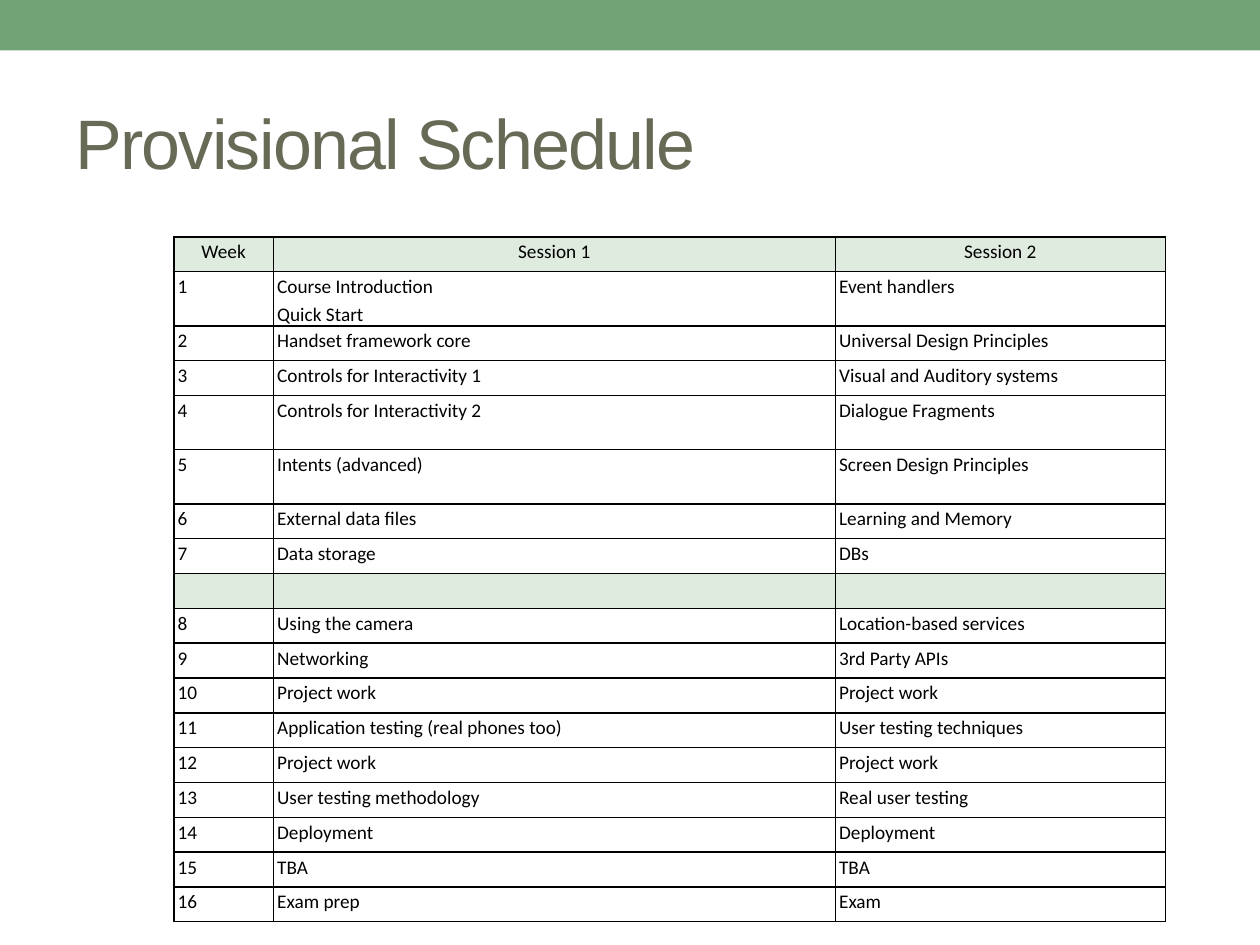
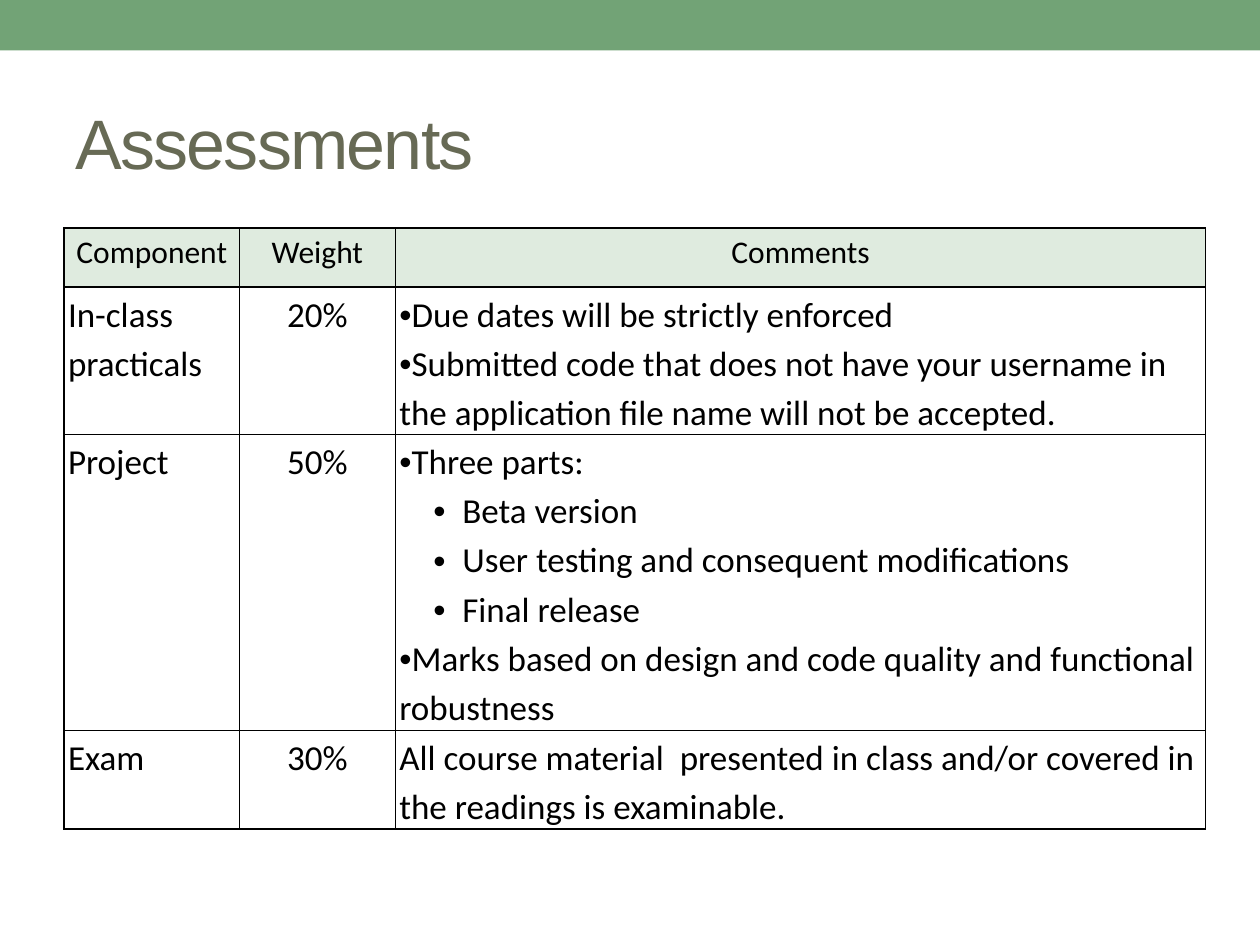
from lxml import etree
from pptx import Presentation
from pptx import util as u
from pptx.dml import color
from pptx.enum import shapes, text
from pptx.oxml import ns

COLORS = {"band": "72A376", "title": "676A55", "header": "DFEBDF", "ink": "000000"}
TITLE_FONT, TABLE_FONT = "Arial", "Calibri"
LEFT, CENTER = text.PP_ALIGN.LEFT, text.PP_ALIGN.CENTER


def add_run(paragraph, words, font, size, ink):
    run = paragraph.add_run()
    run.text = words
    run.font.name = font
    run.font.size = u.Pt(size)
    run.font.color.rgb = color.RGBColor.from_string(COLORS[ink])
    return run


def style_cell(cell, shaded):
    cell.margin_left = cell.margin_right = u.Inches(0.03)
    cell.margin_top = cell.margin_bottom = 0
    properties = cell._tc.get_or_add_tcPr()
    for side in ("lnL", "lnR", "lnT", "lnB"):
        line = etree.SubElement(properties, ns.qn(f"a:{side}"), w=str(u.Pt(1)))
        fill = etree.SubElement(line, ns.qn("a:solidFill"))
        etree.SubElement(fill, ns.qn("a:srgbClr"), val=COLORS["ink"])
    if shaded:
        cell.fill.solid()
        cell.fill.fore_color.rgb = color.RGBColor.from_string(COLORS["header"])
    else:
        cell.fill.background()


schedule = [
    ("Week", "Session 1", "Session 2"),
    ("1", "Course Introduction\nQuick Start", "Event handlers"),
    ("2", "Handset framework core", "Universal Design Principles"),
    ("3", "Controls for Interactivity 1", "Visual and Auditory systems"),
    ("4", "Controls for Interactivity 2", "Dialogue Fragments"),
    ("5", "Intents (advanced)", "Screen Design Principles"),
    ("6", "External data files", "Learning and Memory"),
    ("7", "Data storage", "DBs"),
    ("", "", ""),
    ("8", "Using the camera", "Location-based services"),
    ("9", "Networking", "3rd Party APIs"),
    ("10", "Project work", "Project work"),
    ("11", "Application testing (real phones too)", "User testing techniques"),
    ("12", "Project work", "Project work"),
    ("13", "User testing methodology", "Real user testing"),
    ("14", "Deployment", "Deployment"),
    ("15", "TBA", "TBA"),
    ("16", "Exam prep", "Exam"),
]
tall_weeks = ("1", "4", "5")
tall = 0.43
short = (5.44 - tall * len(tall_weeks)) / (len(schedule) - len(tall_weeks))

assessments = [
    ("Component", "Weight", "Comments"),
    ("In-class practicals", "20%",
     "•Due dates will be strictly enforced\n"
     "•Submitted code that does not have your username in the application "
     "file name will not be accepted."),
    ("Project", "50%",
     "•Three parts:\n"
     "\t•Beta version\n"
     "\t•User testing and consequent modifications\n"
     "\t•Final release\n"
     "•Marks based on design and code quality and functional robustness"),
    ("Exam", "30%",
     "All course material  presented in class and/or covered in the readings is examinable."),
]

pages = [
    {"title": "Provisional Schedule", "rows": schedule, "left": 1.38, "top": 1.88,
     "widths": (0.79, 4.46, 2.62),
     "heights": [tall if row[0] in tall_weeks else short for row in schedule],
     "header_size": 11, "body_size": 11, "body_aligns": (LEFT, LEFT, LEFT)},
    {"title": "Assessments", "rows": assessments, "left": 0.51, "top": 1.81,
     "widths": (1.39, 1.24, 6.43), "heights": (0.47, 1.17, 2.35, 0.78),
     "header_size": 18, "body_size": 20, "body_aligns": (LEFT, CENTER, LEFT)},
]

presentation = Presentation()
presentation.slide_width = u.Inches(10)
presentation.slide_height = u.Inches(7.5)

for page in pages:
    slide = presentation.slides.add_slide(presentation.slide_layouts[6])

    band = slide.shapes.add_shape(
        shapes.MSO_SHAPE.RECTANGLE, 0, 0, presentation.slide_width, u.Inches(0.4))
    band.shadow.inherit = False
    band.fill.solid()
    band.fill.fore_color.rgb = color.RGBColor.from_string(COLORS["band"])
    band.line.fill.background()

    title = slide.shapes.add_textbox(u.Inches(0.5), u.Inches(0.58), u.Inches(9), u.Inches(1.08))
    title.text_frame.word_wrap = True
    title.text_frame.vertical_anchor = text.MSO_ANCHOR.MIDDLE
    title_run = add_run(title.text_frame.paragraphs[0], page["title"], TITLE_FONT, 40, "title")
    title_run.font._element.set("spc", "-100")

    rows, widths, heights = page["rows"], page["widths"], page["heights"]
    table = slide.shapes.add_table(
        len(rows), len(widths), u.Inches(page["left"]), u.Inches(page["top"]),
        u.Inches(sum(widths)), u.Inches(sum(heights))).table
    table.first_row = table.horz_banding = False
    for column, width in zip(table.columns, widths):
        column.width = u.Inches(width)
    for table_row, height in zip(table.rows, heights):
        table_row.height = u.Inches(height)

    for row_number, row in enumerate(rows):
        is_header = row_number == 0
        size = page["header_size"] if is_header else page["body_size"]
        for column_number, content in enumerate(row):
            cell = table.cell(row_number, column_number)
            style_cell(cell, is_header or not any(row))
            for line_number, words in enumerate(content.split("\n")):
                frame = cell.text_frame
                paragraph = frame.add_paragraph() if line_number else frame.paragraphs[0]
                paragraph.alignment = CENTER if is_header else page["body_aligns"][column_number]
                paragraph.line_spacing = 1.15
                if not words:
                    paragraph._p.get_or_add_endParaRPr().set("sz", str(size * 100))
                    continue
                nested = words.startswith("\t")
                words = words.strip()
                if words.startswith("•"):
                    properties = paragraph._p.get_or_add_pPr()
                    properties.set("marL", str(u.Inches(0.5 if nested else 0)))
                    properties.set("indent", str(u.Inches(-0.23 if nested else 0)))
                    paragraph.level = int(nested)
                    etree.SubElement(properties, ns.qn("a:buFont"), typeface="Arial")
                    etree.SubElement(properties, ns.qn("a:buChar"), char="•")
                add_run(paragraph, words.lstrip("•"), TABLE_FONT, size, "ink")

presentation.save("out.pptx")
